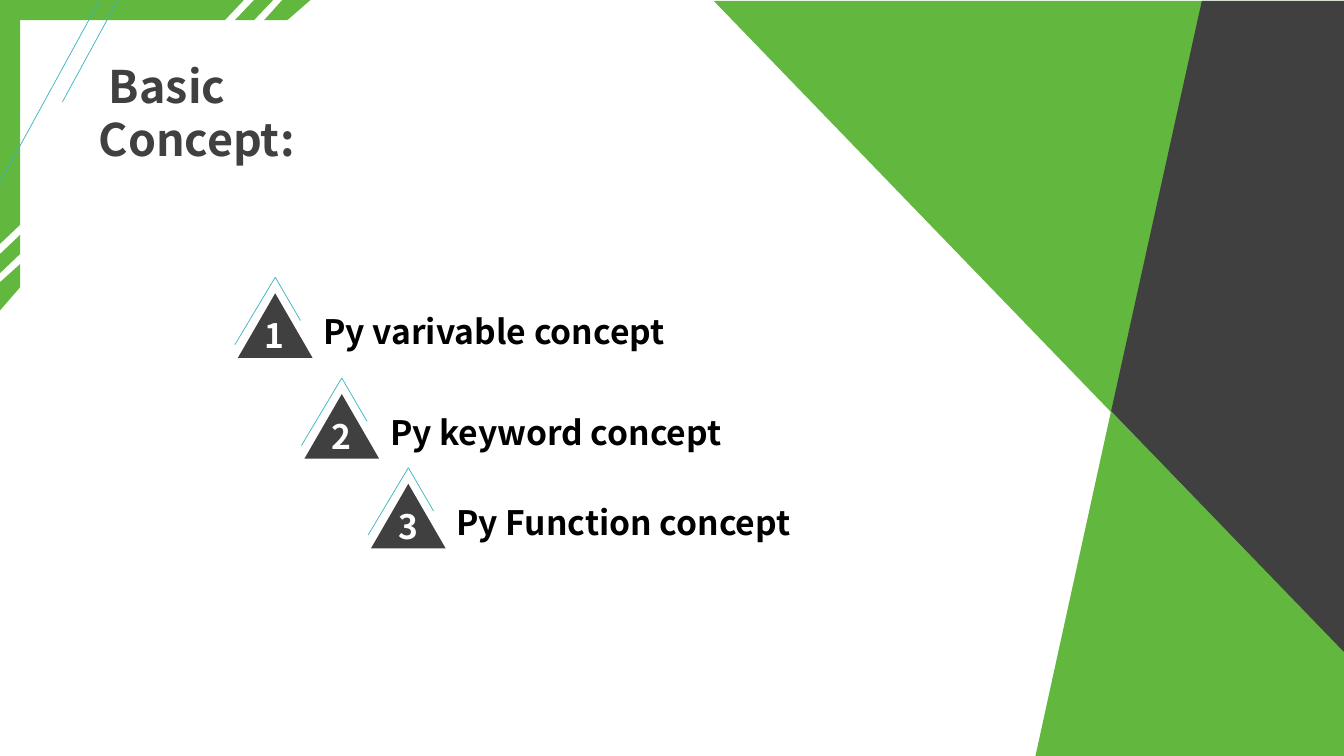
from pptx import Presentation
from pptx.dml.color import RGBColor
from pptx.enum.shapes import MSO_CONNECTOR, MSO_SHAPE
from pptx.enum.text import MSO_AUTO_SIZE
from pptx.oxml.ns import qn
from pptx.util import Inches, Pt
from lxml.etree import SubElement


class Deck:
    """Hold the style and the current slide, and draw each kind of element."""

    hues = {"green": "62B83F", "dark": "404040", "teal": "39B4BF",
            "black": "000000", "white": "FFFFFF"}
    face = {"name": "Noto Sans CJK SC", "bold": True}
    frame = {"word_wrap": True, "auto_size": MSO_AUTO_SIZE.SHAPE_TO_FIT_TEXT}

    def __init__(self, show):
        self.slide = show.slides.add_slide(show.slide_layouts[6])
        self.shapes = self.slide.shapes

    def hue(self, name):
        return RGBColor.from_string(self.hues[name])

    def paint(self, shape, color):
        shape.shadow.inherit = False
        shape.fill.solid()
        shape.fill.fore_color.rgb = self.hue(color)
        shape.line.fill.background()

    def free(self, loops, color):
        first, *rest = [[(Inches(x), Inches(y)) for x, y in loop]
                        for loop in loops]
        pen = self.shapes.build_freeform(*first[0])
        pen.add_line_segments(first[1:], close=True)
        for loop in rest:
            pen.move_to(*loop[0])
            pen.add_line_segments(loop[1:], close=True)
        self.paint(pen.convert_to_shape(), color)

    def shape(self, kind, box, color, turn=0):
        shape = self.shapes.add_shape(kind, *map(Inches, box))
        shape.rotation = turn
        self.paint(shape, color)

    def line(self, start, end):
        line = self.shapes.add_connector(
            MSO_CONNECTOR.STRAIGHT, *map(Inches, (*start, *end)))
        line.line.color.rgb = self.hue("teal")
        line.line.width = Pt(0.5)
        SubElement(line._element.spPr, qn("a:effectLst"))

    def text(self, words, box, size, color):
        frame = self.shapes.add_textbox(*map(Inches, box)).text_frame
        for key, value in self.frame.items():
            setattr(frame, key, value)
        run = frame.paragraphs[0].add_run()
        run.text = words
        for key, value in {**self.face, "size": Pt(size)}.items():
            setattr(run.font, key, value)
        run.font.color.rgb = self.hue(color)

    def item(self, mark, words, left, top):
        self.text(words, (left + 0.75, top + 0.13, 3.58, 0.5), 24, "black")
        self.shape(MSO_SHAPE.ISOSCELES_TRIANGLE,
                   (left, top, 0.74, 0.64), "dark")
        peak = left + 0.37, top - 0.16
        for end in ((left + 0.62, top + 0.27), (left - 0.03, top + 0.51)):
            self.line(peak, end)
        self.text(mark, (left + 0.17, top + 0.17, 0.44, 0.5), 24, "white")


show = Presentation()
show.slide_width, show.slide_height = Inches(13.33), Inches(7.5)
deck = Deck(show)

side = [
    [(0.2, 2.62), (0.2, 2.85), (0, 3.08), (0, 2.8)],
    [(0.2, 2.33), (0.2, 2.52), (0, 2.71), (0, 2.52)],
    [(0, 0), (0.2, 0), (0.2, 2.23), (0, 2.42)],
]
deck.free(side, "green")
deck.free([[(y, x) for x, y in loop] for loop in side], "green")

cross = 11.02, 4.08
deck.shape(MSO_SHAPE.RIGHT_TRIANGLE, (7.08, 0.01, 6.25, 6.47), "green", 180)
deck.free([[(13.33, 0.01), (11.92, 0.01), cross, (13.33, 6.48)]], "dark")
deck.free([[cross, (10.27, 7.5), (13.33, 7.5), (13.33, 6.47)]], "green")

deck.text(" Basic Concept:", (0.88, 0.53, 2.51, 1.18), 32, "dark")
items = [("Py varivable concept", 2.91), ("Py keyword concept", 3.91),
         ("Py Function concept", 4.8)]
for step, (words, top) in enumerate(items):
    deck.item(str(step + 1), words, 2.36 + 0.66 * step, top)

deck.line((0.99, 0), (0, 1.81))
deck.line((1.17, 0), (0.62, 1.01))
show.save("out.pptx")
